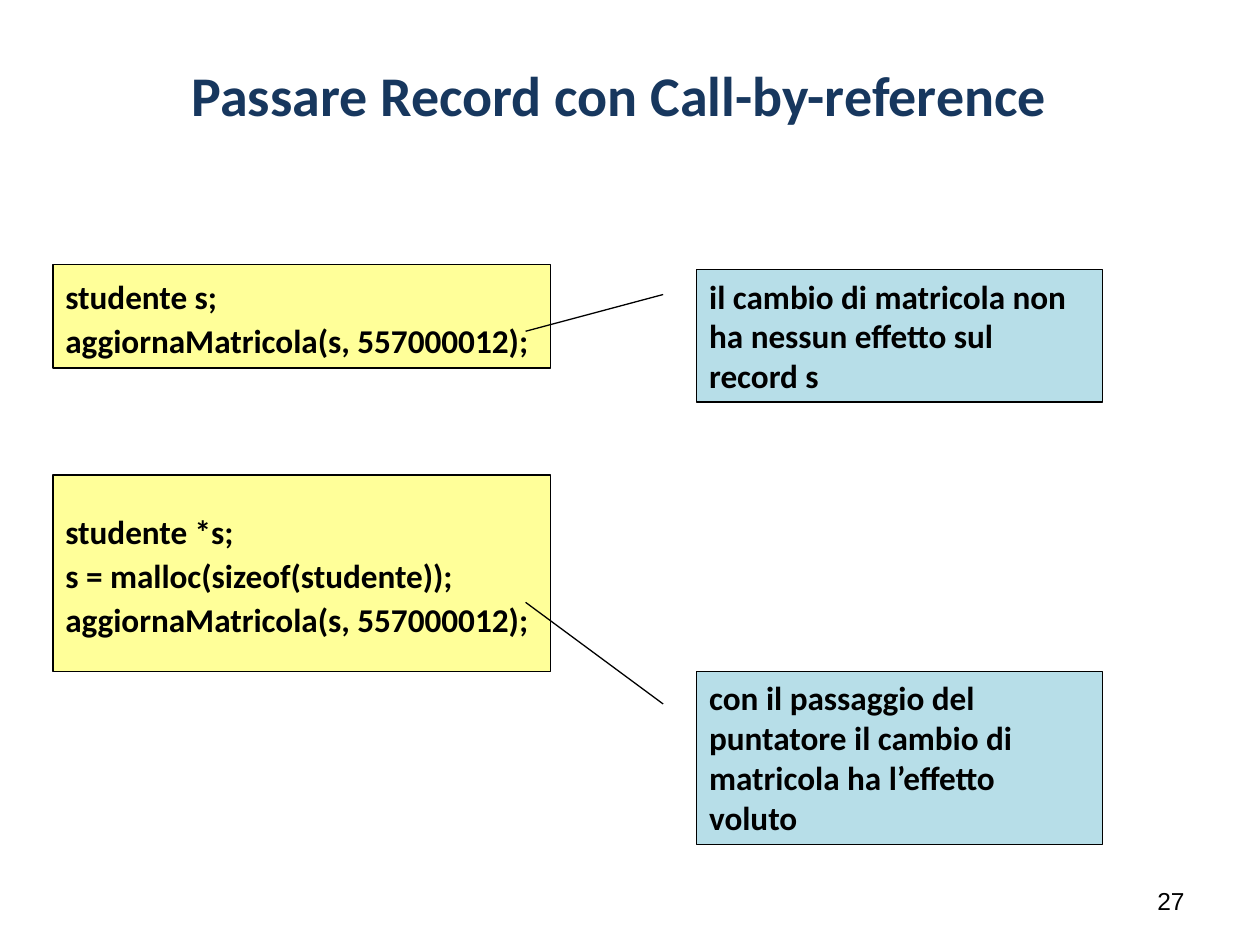
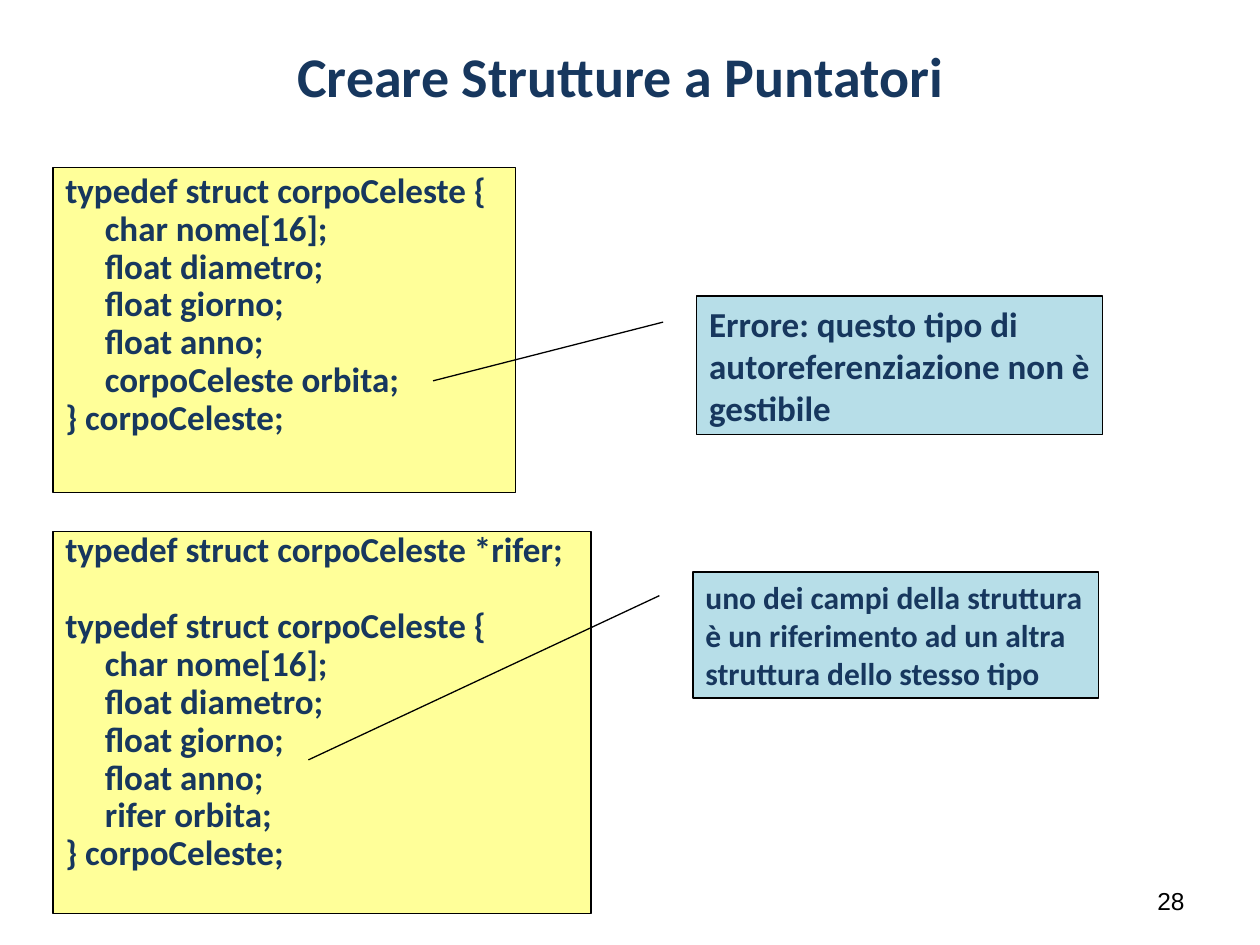
"""Build two slides on records, pointers and call-by-reference in C."""
from pptx import Presentation
from pptx.dml.color import RGBColor
from pptx.enum.shapes import MSO_SHAPE
from pptx.enum.text import MSO_ANCHOR, PP_ALIGN
from pptx.util import Pt

PROCESS, CALLOUT = MSO_SHAPE.FLOWCHART_PROCESS, MSO_SHAPE.LINE_CALLOUT_1
TOP, MIDDLE = MSO_ANCHOR.TOP, MSO_ANCHOR.MIDDLE
LEFT, CENTER, RIGHT = PP_ALIGN.LEFT, PP_ALIGN.CENTER, PP_ALIGN.RIGHT

COLORS = {
    "navy": "17375E",
    "black": "000000",
    "code": "FFFF99",
    "note": "B7DEE8",
}
CODE_LEFT = 30.24
NOTE_WIDTH = 231.84
FIELDS = [
    "     char nome[16];",
    "     float diametro;",
    "     float giorno;",
    "     float anno;",
]


def color(name):
    return RGBColor.from_string(COLORS[name])


def struct_lines(orbit_type):
    return ["typedef struct corpoCeleste {", *FIELDS,
            f"     {orbit_type} orbita;", "} corpoCeleste;"]


class Deck:
    def __init__(self):
        self.presentation = Presentation()
        self.presentation.slide_width = Pt(720)
        self.presentation.slide_height = Pt(540)
        self.page = None
        self.ink = "black"

    def add_page(self, title, number, left, top, ink):
        self.page = self.presentation.slides.add_slide(
            self.presentation.slide_layouts[6])
        self.ink = ink
        self.label(str(number), (516.24, 500.4, 167.76, 28.8), RIGHT, 14,
                   "black", font="Arial", bold=False)
        self.label(title, (left, top, 635.76, 72), CENTER, 32, "navy")

    def fill_text(self, box, lines, size, ink, align=LEFT, anchor=MIDDLE,
                  font="Calibri", bold=True, spacing=1.0):
        frame = box.text_frame
        frame.word_wrap = True
        frame.vertical_anchor = anchor
        for index, line in enumerate(lines):
            para = frame.paragraphs[0] if index == 0 else frame.add_paragraph()
            para.text = line
            para.alignment = align
            para.line_spacing = spacing
            para.font.name = font
            para.font.size = Pt(size)
            para.font.bold = bold
            para.font.color.rgb = color(ink)
        return frame

    def label(self, text, area, align, size, ink, **style):
        box = self.page.shapes.add_textbox(*map(Pt, area))
        self.fill_text(box, [text], size, ink, align, **style)

    def panel(self, kind, area, fill):
        box = self.page.shapes.add_shape(kind, *map(Pt, area))
        box.shadow.inherit = False
        box.fill.solid()
        box.fill.fore_color.rgb = color(fill)
        box.line.color.rgb = color("black")
        box.line.width = Pt(0.75)
        return box

    def code(self, top, width, height, lines, size, spacing,
             anchor=MIDDLE, inset=3.6):
        box = self.panel(PROCESS, (CODE_LEFT, top, width, height), "code")
        frame = self.fill_text(box, lines, size, self.ink, anchor=anchor,
                               spacing=spacing)
        frame.margin_top = Pt(inset)
        return frame

    def note(self, left, top, height, lines, size, target_y, target_x):
        box = self.panel(CALLOUT, (left, top, NOTE_WIDTH, height), "note")
        for index, value in enumerate((0.188, -0.083, target_y, target_x)):
            box.adjustments[index] = value
        self.fill_text(box, lines, size, self.ink, anchor=TOP)


def main():
    deck = Deck()

    deck.add_page("Passare Record con Call-by-reference", 27, 36, 18, "black")
    update = "aggiornaMatricola(s, 557000012);"
    deck.code(151.2, 284.4, 59.04, ["studente s;", update], 19, 1.1)
    deck.note(398.16, 154.08, 75.6,
              ["il cambio di matricola non ha nessun effetto sul", "record s"],
              19, 0.466, -0.422)
    deck.code(271.44, 284.4, 112.32,
              ["studente *s;", "s = malloc(sizeof(studente));", update],
              19, 1.1)
    deck.note(398.16, 383.76, 98.64,
              ["con il passaggio del puntatore il cambio di matricola "
               "ha l’effetto voluto"], 19, -0.401, -0.422)

    deck.add_page("Creare Strutture a Puntatori", 28, 36.72, 7.2, "navy")
    deck.code(95.76, 264.24, 185.76, struct_lines("corpoCeleste"), 20, 0.9,
              TOP, 3.2)
    deck.note(398.16, 169.2, 79.2,
              ["Errore: questo tipo di autoreferenziazione non è gestibile"],
              20, 0.612, -0.65)
    frame = deck.code(303.84, 307.44, 218.16,
                      ["typedef struct corpoCeleste *rifer;",
                       *struct_lines("rifer")], 20, 0.9, TOP, 0.4)
    frame.paragraphs[1].space_before = Pt(22)
    deck.note(396, 326.88, 72,
              ["uno dei campi della struttura è un riferimento ad un altra "
               "struttura dello stesso tipo"], 18, 1.491, -0.948)

    deck.presentation.save("out.pptx")


if __name__ == "__main__":
    main()
